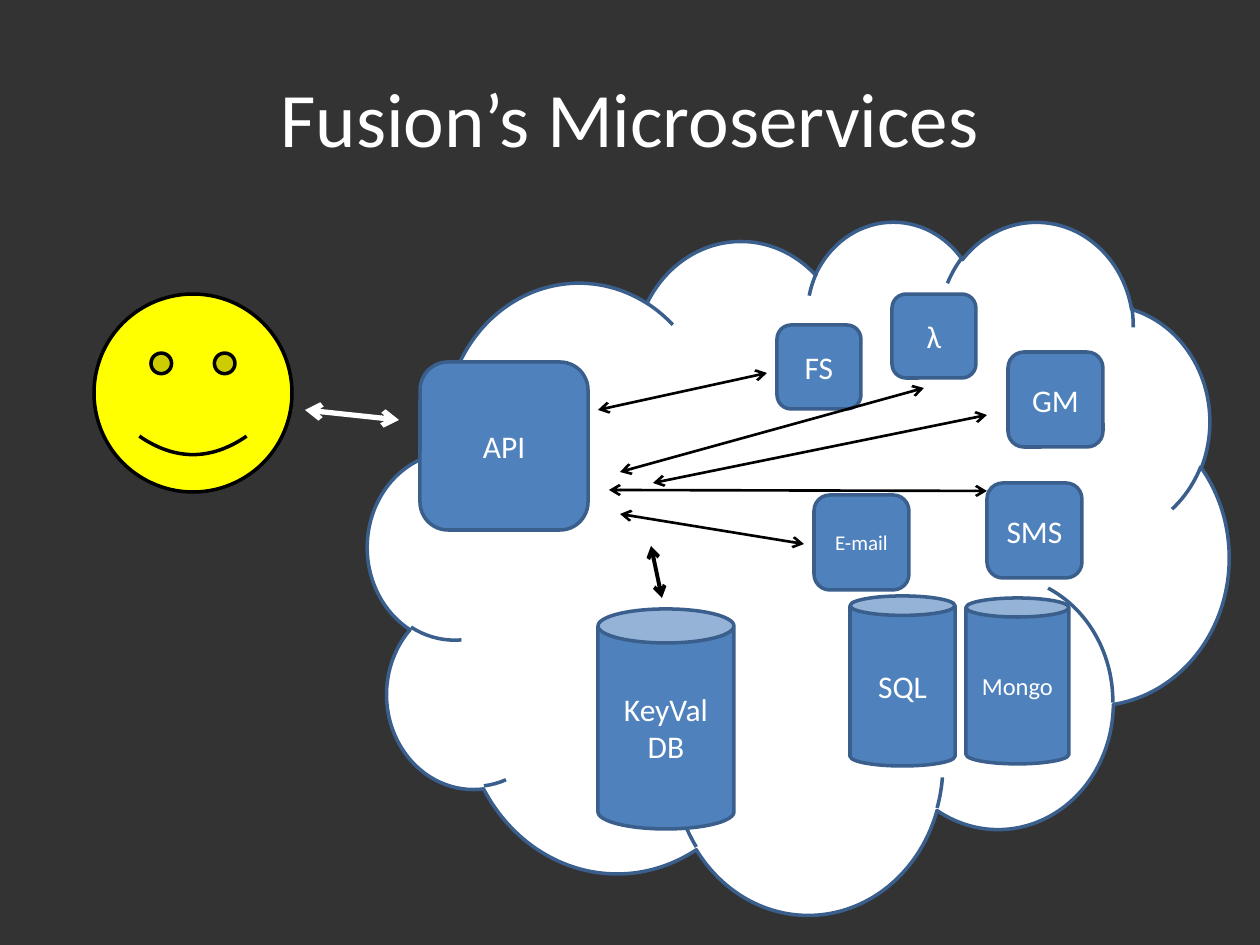
"""Build the microservices overview slide."""
from dataclasses import dataclass

from lxml import etree
from pptx import Presentation
from pptx import util as u
from pptx.dml.color import RGBColor
from pptx.enum import shapes, text
from pptx.oxml.ns import qn

PX = 914400 // 126


@dataclass(frozen=True)
class Theme:
    font: str = "Calibri"
    background: str = "333333"
    light: str = "FFFFFF"
    ink: str = "000000"
    face: str = "FFFF00"
    service: str = "4F81BD"
    outline: str = "3A5F8C"
    border: float = 2
    title: float = 44
    label: float = 18
    medium: float = 14
    small: float = 12


THEME = Theme()
KIND = shapes.MSO_SHAPE

TITLE = ("Fusion’s Microservices", (63, 38, 1134, 157))
USER = (94, 294, 198, 198)
CLOUD = (368, 220, 861, 693)

SERVICES = [
    (["API"], (420, 362, 168, 168), THEME.label),
    (["FS"], (777, 325, 84, 84), THEME.label),
    (["λ"], (892, 294, 84, 84), THEME.label),
    (["E-mail"], (814, 495, 95, 95), THEME.small),
    (["SMS"], (987, 483, 95, 95), THEME.label),
    (["GM"], (1008, 352, 95, 95), THEME.label),
]
DATABASES = [
    (["KeyVal", "DB"], (598, 609, 136, 220), THEME.label, 0.25),
    (["SQL"], (850, 596, 105, 170), THEME.label, 0.185),
    (["Mongo"], (966, 598, 103, 166), THEME.medium, 0.185),
]
LINKS = [
    ((651, 546), (662, 598), THEME.ink, 2.25),
    ((598, 410), (767, 373), THEME.ink, 1.5),
    ((620, 514), (804, 544), THEME.ink, 1.5),
    ((609, 490), (987, 491), THEME.ink, 1.5),
    ((620, 472), (924, 388), THEME.ink, 1.5),
    ((305, 410), (399, 420), THEME.light, 3),
    ((653, 483), (987, 415), THEME.ink, 1.5),
]


def px(*lengths):
    return [u.Emu(length * PX) for length in lengths]


def rgb(colour):
    return RGBColor.from_string(colour)


def write(frame, lines, size):
    frame.word_wrap = True
    frame.vertical_anchor = text.MSO_ANCHOR.MIDDLE
    for index, line in enumerate(lines):
        paragraph = frame.add_paragraph() if index else frame.paragraphs[0]
        paragraph.alignment = text.PP_ALIGN.CENTER
        run = paragraph.add_run()
        run.text = line
        run.font.name = THEME.font
        run.font.size = u.Pt(size)
        run.font.color.rgb = rgb(THEME.light)


def add_part(slide, kind, box, fill, outline=THEME.outline):
    part = slide.shapes.add_shape(kind, *px(*box))
    part.shadow.inherit = False
    part.fill.solid()
    part.fill.fore_color.rgb = rgb(fill)
    part.line.color.rgb = rgb(outline)
    part.line.width = u.Pt(THEME.border)
    return part


def add_link(slide, start, end, colour, width):
    link = slide.shapes.add_connector(
        shapes.MSO_CONNECTOR.STRAIGHT, *px(*start, *end))
    link.line.color.rgb = rgb(colour)
    link.line.width = u.Pt(width)
    properties = link.line._get_or_add_ln()
    for tip in ("a:headEnd", "a:tailEnd"):
        etree.SubElement(properties, qn(tip), type="arrow")
    etree.SubElement(properties.getparent(), qn("a:effectLst"))


def main():
    deck = Presentation()
    deck.slide_width, deck.slide_height = px(1260, 945)
    slide = deck.slides.add_slide(deck.slide_layouts[5])
    slide.background.fill.solid()
    slide.background.fill.fore_color.rgb = rgb(THEME.background)

    wording, box = TITLE
    title = slide.shapes.title
    title.left, title.top, title.width, title.height = px(*box)
    write(title.text_frame, [wording], THEME.title)

    add_part(slide, KIND.SMILEY_FACE, USER, THEME.face, THEME.ink)
    add_part(slide, KIND.CLOUD, CLOUD, THEME.light)
    for lines, box, size, rim in DATABASES:
        database = add_part(slide, KIND.CAN, box, THEME.service)
        database.adjustments[0] = rim
        write(database.text_frame, lines, size)
    for lines, box, size in SERVICES:
        service = add_part(slide, KIND.ROUNDED_RECTANGLE, box, THEME.service)
        write(service.text_frame, lines, size)
    for link in LINKS:
        add_link(slide, *link)

    deck.save("out.pptx")


if __name__ == "__main__":
    main()
